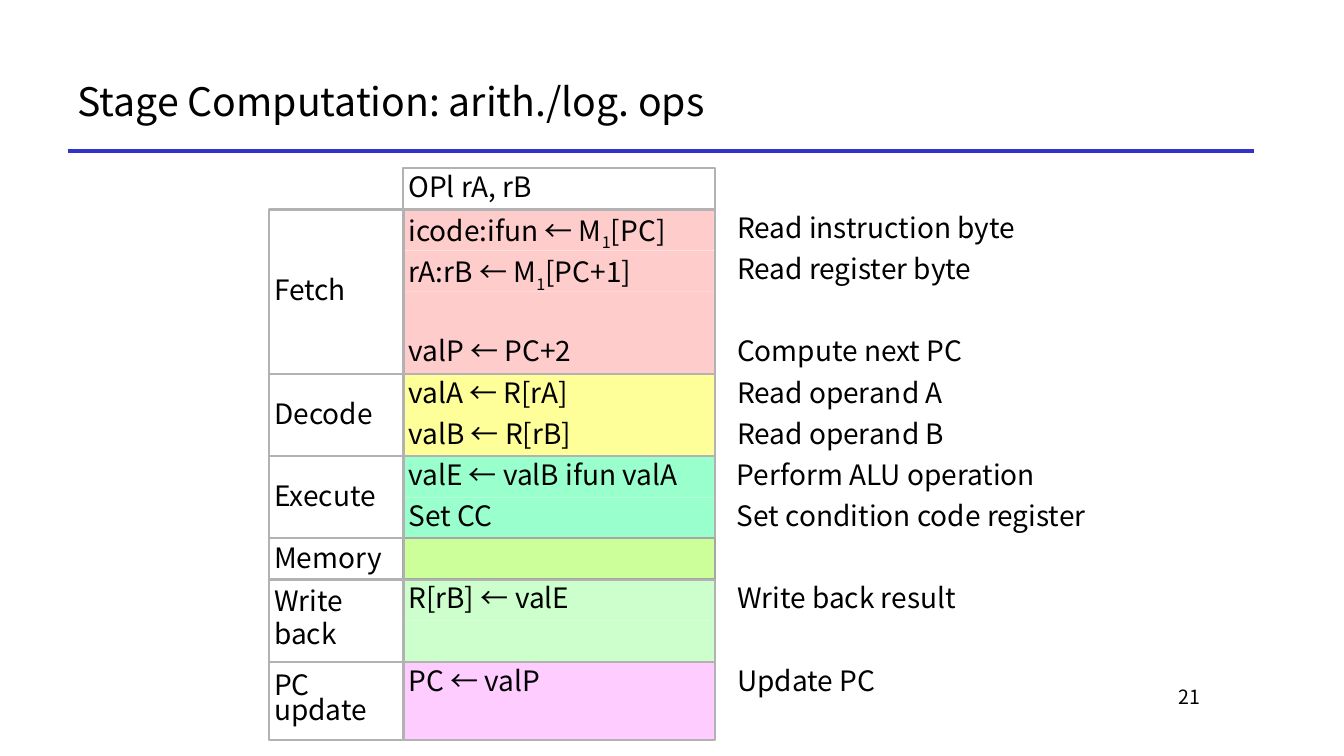
import pptx
import pptx.dml.color
import pptx.enum.shapes
import pptx.enum.text
import pptx.oxml.ns
import pptx.util
from lxml import etree

RGBColor = pptx.dml.color.RGBColor
BLACK = RGBColor(0x00, 0x00, 0x00)
BLUE = RGBColor(0x33, 0x33, 0xCC)
GRAY = RGBColor(0xB2, 0xB2, 0xB2)
MID_GRAY = RGBColor(0xA6, 0xA6, 0xA6)
PINK = RGBColor(0xFF, 0xCC, 0xCC)
YELLOW = RGBColor(0xFF, 0xFF, 0x99)
AQUA = RGBColor(0x99, 0xFF, 0xCC)
LIME = RGBColor(0xCC, 0xFF, 0x99)
MINT = RGBColor(0xCC, 0xFF, 0xCC)
LILAC = RGBColor(0xFF, 0xCC, 0xFF)

TOP, ROW = 1.67, 0.408
COLUMNS = {"stage": (2.67, 1.34), "step": (4, 3.09), "note": (7.26, 3.09),
           "wide note": (7.26, 3.9)}
TOP_ANCHOR = pptx.enum.text.MSO_ANCHOR.TOP
MIDDLE = pptx.enum.text.MSO_ANCHOR.MIDDLE
RIGHT = pptx.enum.text.PP_ALIGN.RIGHT
LEFT = pptx.enum.text.PP_ALIGN.LEFT

# name lines, line spacing, rows, colour, border, note column, (step, note) pairs
STAGES = [
    (["Fetch"], 0.9, 4, PINK, GRAY, "note",
     [("icode:ifun ← M_1_[PC]", "Read instruction byte"),
      ("rA:rB ← M_1_[PC+1]", "Read register byte"),
      ("", ""),
      ("valP ← PC+2", "Compute next PC")]),
    (["Decode"], 0.9, 2, YELLOW, GRAY, "note",
     [("valA ← R[rA]", "Read operand A"), ("valB ← R[rB]", "Read operand B")]),
    (["Execute"], 0.9, 2, AQUA, GRAY, "wide note",
     [("valE ← valB ifun valA", "Perform ALU operation"),
      ("Set CC", "Set condition code register")]),
    (["Memory"], 0.9, 1, LIME, MID_GRAY, "note", [("", "")]),
    (["Write", "back"], 0.7, 2, MINT, GRAY, "note",
     [("R[rB] ← valE", "Write back result"), ("", "")]),
    (["PC update"], 0.74, 1.9, LILAC, GRAY, "note", [("PC ← valP", "Update PC")]),
]


class StageSlide:
    def __init__(self, prs, font="Noto Sans CJK KR", size=20):
        self.font, self.size = font, size
        self.s = prs.slides.add_slide(prs.slide_layouts[5])
        self.shapes = self.s.shapes

    def set_text(self, sp, lines, size=None, spacing=0.9, anchor=TOP_ANCHOR,
                 align=LEFT, inset=0.05):
        """Fill a shape with paragraphs; text between underscores is subscript."""
        tf = sp.text_frame
        tf.word_wrap = True
        tf.auto_size = pptx.enum.text.MSO_AUTO_SIZE.NONE
        tf.vertical_anchor = anchor
        tf.margin_left = tf.margin_right = pptx.util.Inches(inset)
        tf.margin_top = tf.margin_bottom = pptx.util.Inches(0.05)
        for i, line in enumerate(lines):
            p = tf.add_paragraph() if i else tf.paragraphs[0]
            p.alignment, p.line_spacing = align, spacing
            p.space_before = pptx.util.Pt(7 if i else 0)
            for j, text in enumerate(line.split("_")):
                r = p.add_run()
                r.text = text
                r.font.name = self.font
                r.font.size = pptx.util.Pt(size or self.size)
                r.font.color.rgb = BLACK
                if j % 2:
                    r.font._element.set("baseline", "-25000")

    def title(self, text):
        sp = self.s.shapes.title
        sp.left, sp.top, sp.width, sp.height = map(
            pptx.util.Inches, (0.67, 0.5, 11.78, 1))
        self.set_text(sp, [text], 28, 1.0, MIDDLE, inset=0.1)

    def rule(self, left, right, y):
        line = self.s.shapes.add_connector(
            pptx.enum.shapes.MSO_CONNECTOR.STRAIGHT,
            *map(pptx.util.Inches, (left, y, right, y)))
        line.line.color.rgb = BLUE
        line.line.width = pptx.util.Pt(3)
        etree.SubElement(line._element.spPr, pptx.oxml.ns.qn("a:effectLst"))

    def number(self, text):
        sp = self.s.shapes.add_textbox(
            *map(pptx.util.Inches, (10.11, 6.75, 1.89, 0.5)))
        self.set_text(sp, [text], 14, 1.0, align=RIGHT, inset=0.1)

    def area(self, column, row, rows):
        left, width = COLUMNS[column]
        return map(pptx.util.Inches, (left, TOP + row * ROW, width, rows * ROW))

    def cell(self, column, row, rows, lines=(), fill=None, border=None, **style):
        sp = self.shapes.add_shape(pptx.enum.shapes.MSO_SHAPE.RECTANGLE,
                                   *self.area(column, row, rows))
        sp.shadow.inherit = False
        if fill:
            sp.fill.solid()
            sp.fill.fore_color.rgb = fill
        else:
            sp.fill.background()
        if border:
            sp.line.color.rgb = border
            sp.line.width = pptx.util.Pt(1.5)
        else:
            sp.line.fill.background()
        if any(lines):
            self.set_text(sp, lines, **style)

    def note(self, column, row, rows, text):
        sp = self.shapes.add_textbox(*self.area(column, row, rows))
        self.set_text(sp, [text])

    def stage(self, row, name, spacing, rows, fill, border, note_column, steps):
        """Group one stage: its name, coloured steps, frame and notes."""
        self.shapes = self.s.shapes.add_group_shape().shapes
        single = len(steps) == 1
        height = rows / len(steps)
        for i, (step, _) in enumerate(steps):
            self.cell("step", row + i * height, height, [step], fill,
                      border if single else None)
        if not single:
            self.cell("step", row, rows, border=border)
        self.cell("stage", row, rows, name, border=GRAY,
                  spacing=spacing, anchor=MIDDLE)
        for i, (_, text) in enumerate(steps):
            if text:
                self.note(note_column, row + i * height, height, text)
        self.shapes = self.s.shapes


def main():
    prs = pptx.Presentation()
    prs.slide_width = pptx.util.Inches(13.33)
    prs.slide_height = pptx.util.Inches(7.5)
    slide = StageSlide(prs)
    slide.rule(0.67, 12.44, 1.5)
    slide.number("21")
    slide.title("Stage Computation: arith./log. ops")
    slide.cell("step", 0, 1, ["OPl rA, rB"], border=GRAY)
    row = 1
    for name, spacing, rows, *rest in STAGES:
        slide.stage(row, name, spacing, rows, *rest)
        row += rows
    prs.save("out.pptx")


if __name__ == "__main__":
    main()
